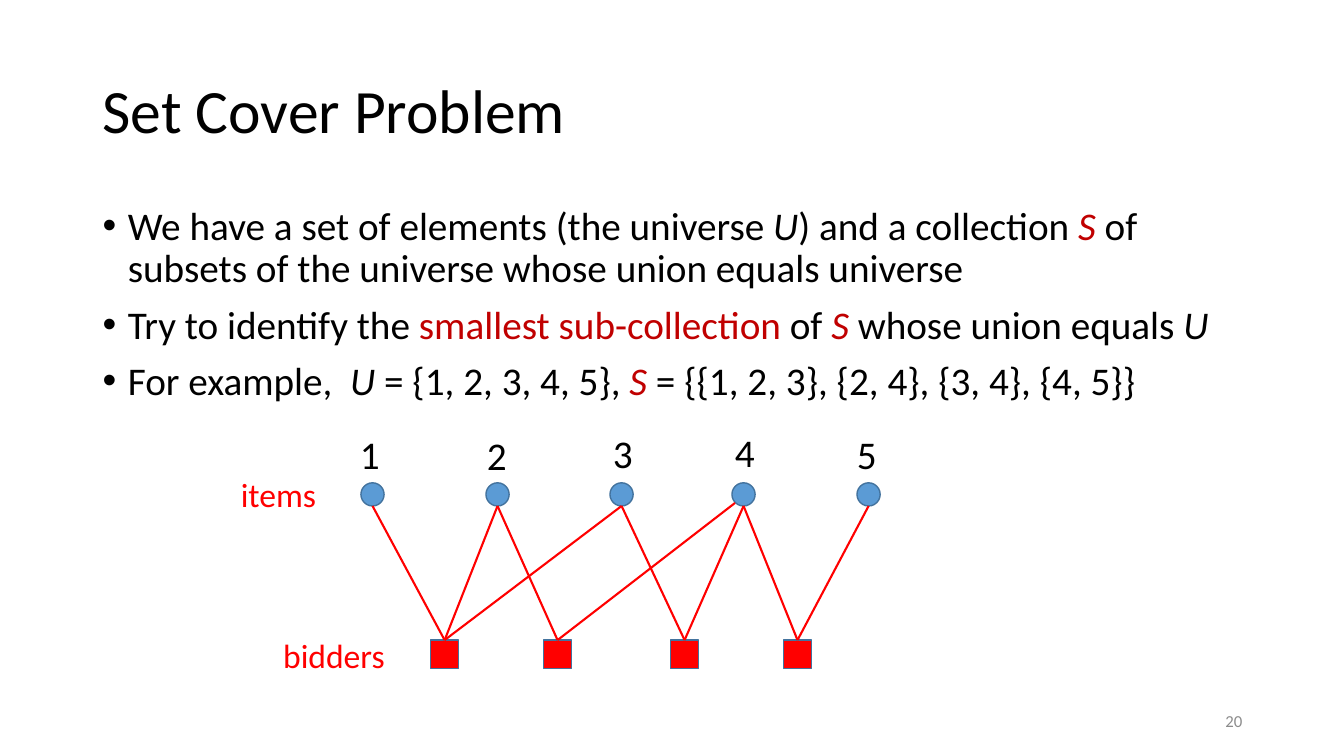
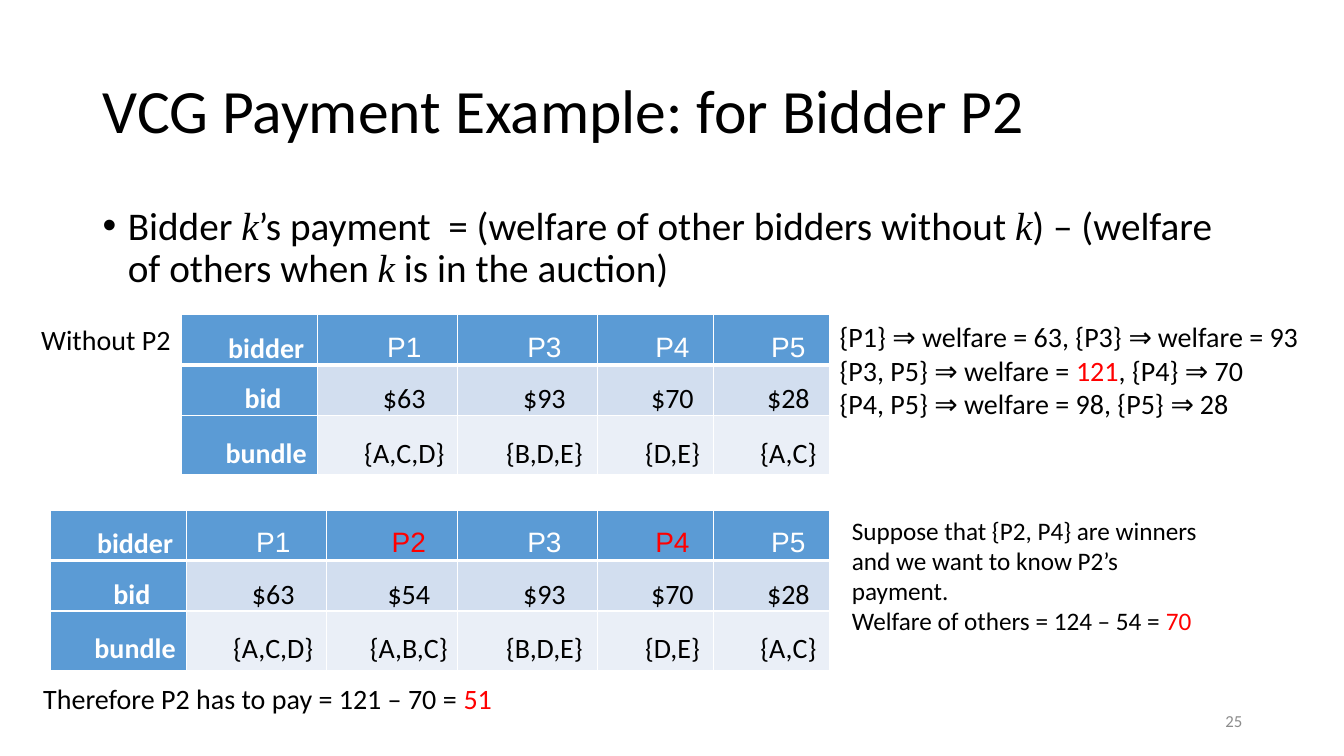
from lxml import etree
from pptx import Presentation
from pptx.dml.color import RGBColor
from pptx.enum.shapes import MSO_CONNECTOR, MSO_SHAPE
from pptx.enum.text import MSO_ANCHOR, PP_ALIGN
from pptx.oxml.ns import qn
from pptx.util import Inches, Pt

LINE = MSO_CONNECTOR.STRAIGHT
OVAL, RECT = MSO_SHAPE.OVAL, MSO_SHAPE.RECTANGLE
TOP, MIDDLE = MSO_ANCHOR.TOP, MSO_ANCHOR.MIDDLE
CENTER, RIGHT = PP_ALIGN.CENTER, PP_ALIGN.RIGHT

BLACK = RGBColor(0x00, 0x00, 0x00)
WHITE = RGBColor(0xFF, 0xFF, 0xFF)
RED = RGBColor(0xFF, 0x00, 0x00)
CRIMSON = RGBColor(0xC0, 0x00, 0x00)
GRAY = RGBColor(0x8C, 0x8C, 0x8C)
BLUE = RGBColor(0x5B, 0x9B, 0xD5)
NAVY = RGBColor(0x43, 0x73, 0x9E)
BANDS = [RGBColor(0xD2, 0xDE, 0xEF), RGBColor(0xEA, 0xEF, 0xF7)]

# Run formats
ITAL = {"italic": True}
MATH = {"italic": True, "name": "Times New Roman"}
HOT = {"color": RED}
DEEP = {"color": CRIMSON}
SET = {"color": CRIMSON, "italic": True}


class Deck:
    """Holds the style and the current slide."""

    font = {"name": "Calibri", "color": BLACK}
    body = {"line_spacing": 0.9, "space_before": Pt(10)}

    def __init__(self):
        self.prs = Presentation()
        self.prs.slide_width = Inches(13.33)
        self.prs.slide_height = Inches(7.5)

    def start(self, title, number):
        self.slide = self.prs.slides.add_slide(self.prs.slide_layouts[6])
        self.text(0.92, 0.4, 11.5, 1.45, [title], 44, anchor=MIDDLE,
                  para={"line_spacing": 0.9})
        self.text(9.42, 6.95, 3, 0.4, [str(number)], 12, anchor=MIDDLE,
                  para={"alignment": RIGHT}, color=GRAY)

    def runs(self, para, parts, fmt):
        """Fill a paragraph from a string or a list of strings and (text, format) pairs."""
        for part in [parts] if isinstance(parts, str) else parts:
            words, extra = (part, {}) if isinstance(part, str) else part
            run = para.add_run()
            run.text = words
            for key, val in {**self.font, **fmt, **extra}.items():
                if key == "color":
                    run.font.color.rgb = val
                else:
                    setattr(run.font, key, val)

    def text(self, x, y, w, h, paras, size, anchor=TOP, wrap=True,
             para=None, bullet=False, **fmt):
        box = self.slide.shapes.add_textbox(Inches(x), Inches(y), Inches(w), Inches(h))
        frame = box.text_frame
        frame.word_wrap = wrap
        frame.vertical_anchor = anchor
        for i, parts in enumerate(paras):
            item = frame.add_paragraph() if i else frame.paragraphs[0]
            if bullet:
                self.bullet(item)
            for key, val in (para or {}).items():
                setattr(item, key, val)
            if not i:
                item.space_before = Pt(0)
            self.runs(item, parts, {"size": Pt(size), **fmt})

    def bullet(self, para):
        props = para._p.get_or_add_pPr()
        props.set("marL", str(Inches(0.25)))
        props.set("indent", str(Inches(-0.25)))
        etree.SubElement(props, qn("a:buFont")).set("typeface", "Arial")
        etree.SubElement(props, qn("a:buChar")).set("char", "•")

    def points(self, h, paras):
        self.text(0.92, 2, 11.5, h, paras, 28, para=self.body, bullet=True)

    def shape(self, kind, x, y, size, fill):
        node = self.slide.shapes.add_shape(
            kind, Inches(x), Inches(y), Inches(size), Inches(size))
        node.shadow.inherit = False
        node.fill.solid()
        node.fill.fore_color.rgb = fill
        node.line.color.rgb = NAVY
        node.line.width = Pt(1)
        return node

    def link(self, x, y, node):
        """Draw a line from a point to the top of a square."""
        line = self.slide.shapes.add_connector(
            LINE, Inches(x), Inches(y), node.left, node.top)
        line.end_connect(node, 0)
        line.line.color.rgb = RED
        line.line.width = Pt(1.5)
        etree.SubElement(line._element.spPr, qn("a:effectLst"))

    def edge(self, cell, widths):
        """Put white borders on a cell, ahead of its fill."""
        props = cell._tc.get_or_add_tcPr()
        for i, (side, width) in enumerate(widths.items()):
            line = etree.Element(qn("a:ln" + side), w=str(Pt(width)))
            fill = etree.SubElement(line, qn("a:solidFill"))
            etree.SubElement(fill, qn("a:srgbClr")).set("val", str(WHITE))
            props.insert(i, line)

    def table(self, x, y, cols, rows, hot=()):
        heights = [0.49, 0.5, 0.59]
        grid = self.slide.shapes.add_table(
            len(rows), len(cols), Inches(x), Inches(y),
            Inches(sum(cols)), Inches(sum(heights))).table
        grid.first_row = grid.horz_banding = False
        for col, width in zip(grid.columns, cols):
            col.width = Inches(width)
        look = {"vertical_anchor": MIDDLE,
                "margin_left": Inches(0.07), "margin_right": Inches(0.07),
                "margin_top": 0, "margin_bottom": 0}
        for r, (row, height) in enumerate(zip(rows, heights)):
            grid.rows[r].height = Inches(height)
            for c, words in enumerate(row):
                head = r == 0 or c == 0
                cell = grid.cell(r, c)
                cell.fill.solid()
                cell.fill.fore_color.rgb = BLUE if head else BANDS[r - 1]
                for key, val in look.items():
                    setattr(cell, key, val)
                self.edge(cell, {"L": 1, "R": 1, "T": 3 if r == 1 else 1,
                                 "B": 3 if r == 0 else 1})
                para = cell.text_frame.paragraphs[0]
                para.alignment = CENTER
                para.line_spacing = 1.5
                para._p.get_or_add_pPr().set("indent", str(Inches(0.33)))
                color = RED if words in hot else WHITE if head else BLACK
                name = "Arial" if r == 0 and c else "Calibri"
                self.runs(para, words, {"size": Pt(20), "bold": c == 0,
                                        "color": color, "name": name})


def cover(deck):
    deck.start("Set Cover Problem", 20)
    deck.points(4.76, [
        ["We have a set of elements (the universe ", ("U", ITAL),
         ") and a collection ", ("S ", SET),
         "of subsets of the universe whose union equals universe"],
        ["Try to identify the ", ("smallest sub-collection ", DEEP), "of ",
         ("S", SET), " whose union equals ", ("U", ITAL)],
        ["For example,  ", ("U", ITAL), " = {1, 2, 3, 4, 5}, ", ("S", SET),
         " = {{1, 2, 3}, {2, 4}, {3, 4}, {4, 5}}"],
    ])

    # Items and bidders
    dot, side, y = 0.23, 0.28, 4.79
    items = [3.58, 4.82, 6.05, 7.26, 8.5]
    for x in items:
        deck.shape(OVAL, x, y, dot, BLUE)
    nodes = [deck.shape(RECT, x, 6.35, side, RED) for x in (4.27, 5.39, 6.65, 7.77)]

    # Each bidder is linked to the items in its set; one line meets its item off centre
    sets = [(1, 2, 3), (2, 4), (3, 4), (4, 5)]
    ends = {(2, 4): (7.29, 4.99)}
    for i, (node, group) in enumerate(zip(nodes, sets), 1):
        for item in group:
            base = (items[item - 1] + dot / 2, y + dot)
            deck.link(*ends.get((i, item), base), node)

    # Labels
    deck.text(2.71, 6.25, 1.22, 0.5, ["bidders"], 24, wrap=False, color=RED)
    deck.text(2.29, 4.65, 0.96, 0.5, ["items"], 24, wrap=False, color=RED)
    marks = [(3.47, 4.22), (4.73, 4.23), (5.98, 4.21), (7.19, 4.2), (8.4, 4.22)]
    for i, (x, top) in enumerate(marks, 1):
        deck.text(x, top, 0.38, 0.57, [str(i)], 28)


def payment(deck):
    deck.start("VCG Payment Example: for Bidder P2", 25)
    deck.points(2.79, [
        ["Bidder ", ("k", MATH), "’s payment  = (welfare of other bidders without ",
         ("k", MATH), ") – (welfare of others when ", ("k", MATH),
         " is in the auction)"],
    ])

    # Bids with and without P2
    cols = [1.35, 1.39, 1.3, 1.39, 1.15, 1.15]
    rows = [
        ["bidder", "P1", "P2", "P3", "P4", "P5"],
        ["bid ", "$63", "$54", "$93", "$70", "$28"],
        ["bundle", "{A,C,D}", "{A,B,C}", "{B,D,E}", "{D,E}", "{A,C}"],
    ]
    deck.table(0.5, 5.06, cols, rows, hot=("P2", "P4"))
    deck.table(1.8, 3.12, cols[:2] + cols[3:], [row[:2] + row[3:] for row in rows])

    # Welfare notes
    deck.text(0.31, 3.15, 1.5, 0.44, ["Without P2"], 20, wrap=False)
    deck.text(8.23, 3.12, 4.87, 1.11, [
        "{P1} ⇒ welfare = 63, {P3} ⇒ welfare = 93",
        ["{P3, P5} ⇒ welfare = ", ("121", HOT), ", {P4} ⇒ 70"],
        "{P4, P5} ⇒ welfare = 98, {P5} ⇒ 28",
    ], 20, wrap=False)
    deck.text(0.33, 6.71, 4.69, 0.44,
              [["Therefore P2 has to pay = 121 – 70 = ", ("51", HOT)]], 20, wrap=False)
    deck.text(8.35, 5.06, 3.81, 1.01, [
        "Suppose that {P2, P4} are winners and we want to know P2’s payment.",
        ["Welfare of others = 124 – 54 = ", ("70", HOT)],
    ], 18)


def main():
    deck = Deck()
    cover(deck)
    payment(deck)
    deck.prs.save("out.pptx")


if __name__ == "__main__":
    main()
